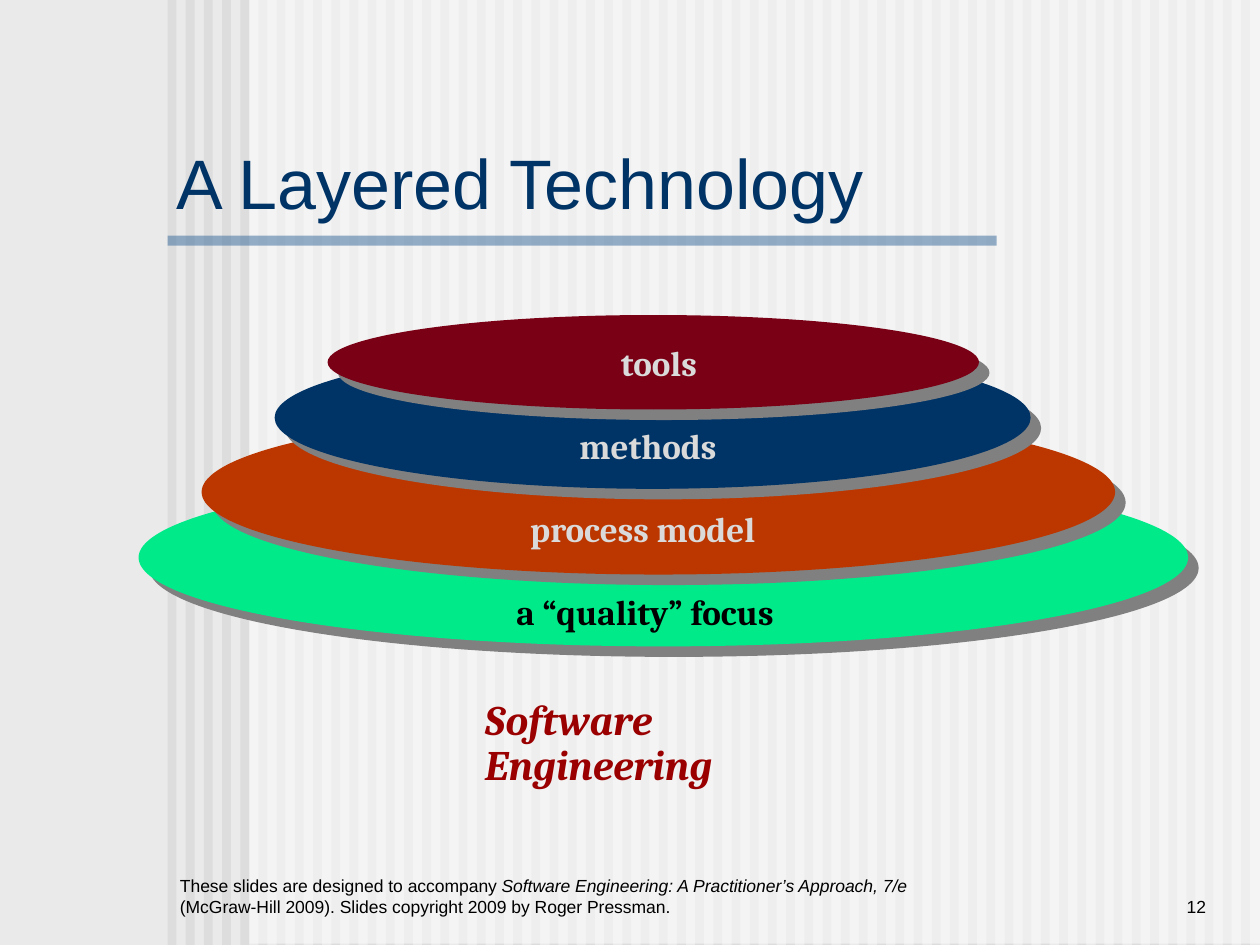
"""Build the slide that shows software engineering as a layered technology."""
from pptx import Presentation
from pptx.dml.color import RGBColor
from pptx.enum.shapes import MSO_SHAPE
from pptx.enum.text import MSO_ANCHOR, PP_ALIGN
from pptx.oxml import parse_xml
from pptx.oxml.ns import nsdecls
from pptx.util import Inches, Pt

GRAY = RGBColor(0xEA, 0xEA, 0xEA)
STRIPE = RGBColor(0xDD, 0xDD, 0xDD)
WHITE = RGBColor(0xFF, 0xFF, 0xFF)
BLUE = RGBColor(0x33, 0x66, 0x99)
NAVY = RGBColor(0x00, 0x33, 0x66)
BLACK = RGBColor(0x00, 0x00, 0x00)
PALE = RGBColor(0xDA, 0xDA, 0xDA)
RED = RGBColor(0x9A, 0x00, 0x00)
GREEN = RGBColor(0x01, 0xEA, 0x89)
RUST = RGBColor(0xBC, 0x37, 0x00)
WINE = RGBColor(0x79, 0x00, 0x15)

SHADOW = (
    f'<a:outerShdw {nsdecls("a")} dist="107950" dir="2700000" algn="ctr" rotWithShape="0">'
    '<a:srgbClr val="808080"/></a:outerShdw>'
)
ALPHA = f'<a:alpha {nsdecls("a")} val="50000"/>'


def draw(kind, left, top, width, height, color, clear=False):
    shape = slide.shapes.add_shape(
        kind, Inches(left), Inches(top), Inches(width), Inches(height))
    shape.shadow.inherit = False
    shape.fill.solid()
    shape.fill.fore_color.rgb = color
    shape.line.fill.background()
    if clear:
        tint = shape._element.spPr.xpath("./a:solidFill/a:srgbClr")[0]
        tint.append(parse_xml(ALPHA))
    return shape


def add_run(para, text, size, color, face="Arial", bold=False, italic=False):
    run = para.add_run()
    run.text = text
    font = run.font
    font.name, font.size, font.bold, font.italic = face, Pt(size), bold, italic
    font.color.rgb = color


deck = Presentation()
deck.slide_width, deck.slide_height = Inches(10), Inches(7.5)
slide = deck.slides.add_slide(deck.slide_layouts[5])
slide.background.fill.solid()
slide.background.fill.fore_color.rgb = GRAY

count = 60
pitch = (9.85 - 1.33) / (count - 1)
for i in range(count):
    draw(MSO_SHAPE.RECTANGLE, 1.33 + i * pitch, 0, 0.07, 7.5, STRIPE)
draw(MSO_SHAPE.RECTANGLE, 1.98, -0.01, 8.02, 7.5, WHITE, clear=True)
draw(MSO_SHAPE.RECTANGLE, 1.33, 1.87, 6.58, 0.08, BLUE, clear=True)

title = slide.shapes.title
slide.shapes._spTree.append(title._element)
title.left, title.top = Inches(1.33), Inches(1.08)
title.width, title.height = Inches(5.93), Inches(0.72)
frame = title.text_frame
frame.margin_left = frame.margin_right = Inches(0.07)
frame.margin_top = frame.margin_bottom = Inches(0.03)
frame.vertical_anchor = MSO_ANCHOR.TOP
frame.paragraphs[0].alignment = PP_ALIGN.LEFT
add_run(frame.paragraphs[0], "A Layered Technology", 40, NAVY)

credit = slide.shapes.add_textbox(Inches(1.33), Inches(6.83), Inches(6), Inches(0.5))
number = slide.shapes.add_textbox(Inches(8.25), Inches(6.83), Inches(1.42), Inches(0.5))
for box in (credit, number):
    box.text_frame.word_wrap = True
    box.text_frame.vertical_anchor = MSO_ANCHOR.BOTTOM
para = credit.text_frame.paragraphs[0]
add_run(para, "These slides are designed to accompany ", 10, BLACK)
add_run(para, "Software Engineering: A Practitioner’s Approach, 7/e ", 10, BLACK, italic=True)
add_run(para, "(McGraw-Hill 2009). Slides copyright 2009 by Roger Pressman.", 10, BLACK)
para = number.text_frame.paragraphs[0]
para.alignment = PP_ALIGN.RIGHT
add_run(para, "12", 10, BLACK)

theme = slide.shapes.add_textbox(Inches(3.75), Inches(5.5), Inches(3.37), Inches(0.46))
theme.text_frame.word_wrap = True
para = theme.text_frame.paragraphs[0]
para.line_spacing = 0.9
add_run(para, "Software", 24, RED, "Cambria", bold=True, italic=True)
para.add_line_break()
add_run(para, "Engineering", 24, RED, "Cambria", bold=True, italic=True)

layers = [
    (1.1, 3.72, 8.33, 1.41, GREEN),
    (1.6, 3.25, 7.25, 1.31, RUST),
    (2.18, 2.75, 6, 1.13, NAVY),
    (2.6, 2.5, 5.17, 0.75, WINE),
]
for layer in layers:
    oval = draw(MSO_SHAPE.OVAL, *layer)
    oval._element.spPr.xpath("./a:effectLst")[0].append(parse_xml(SHADOW))

labels = [
    ("a “quality” focus", 4, 2.35, BLACK),
    ("process model", 4.11, 2.01, PALE),
    ("methods", 4.5, 1.3, PALE),
    ("tools", 4.83, 0.82, PALE),
]
for i, (text, left, width, color) in enumerate(labels):
    label = slide.shapes.add_textbox(
        Inches(left), Inches(4.64 - 0.66 * i), Inches(width), Inches(0.43))
    label.text_frame.word_wrap = False
    add_run(label.text_frame.paragraphs[0], text, 20, color, "Cambria", bold=True)

deck.save("out.pptx")
